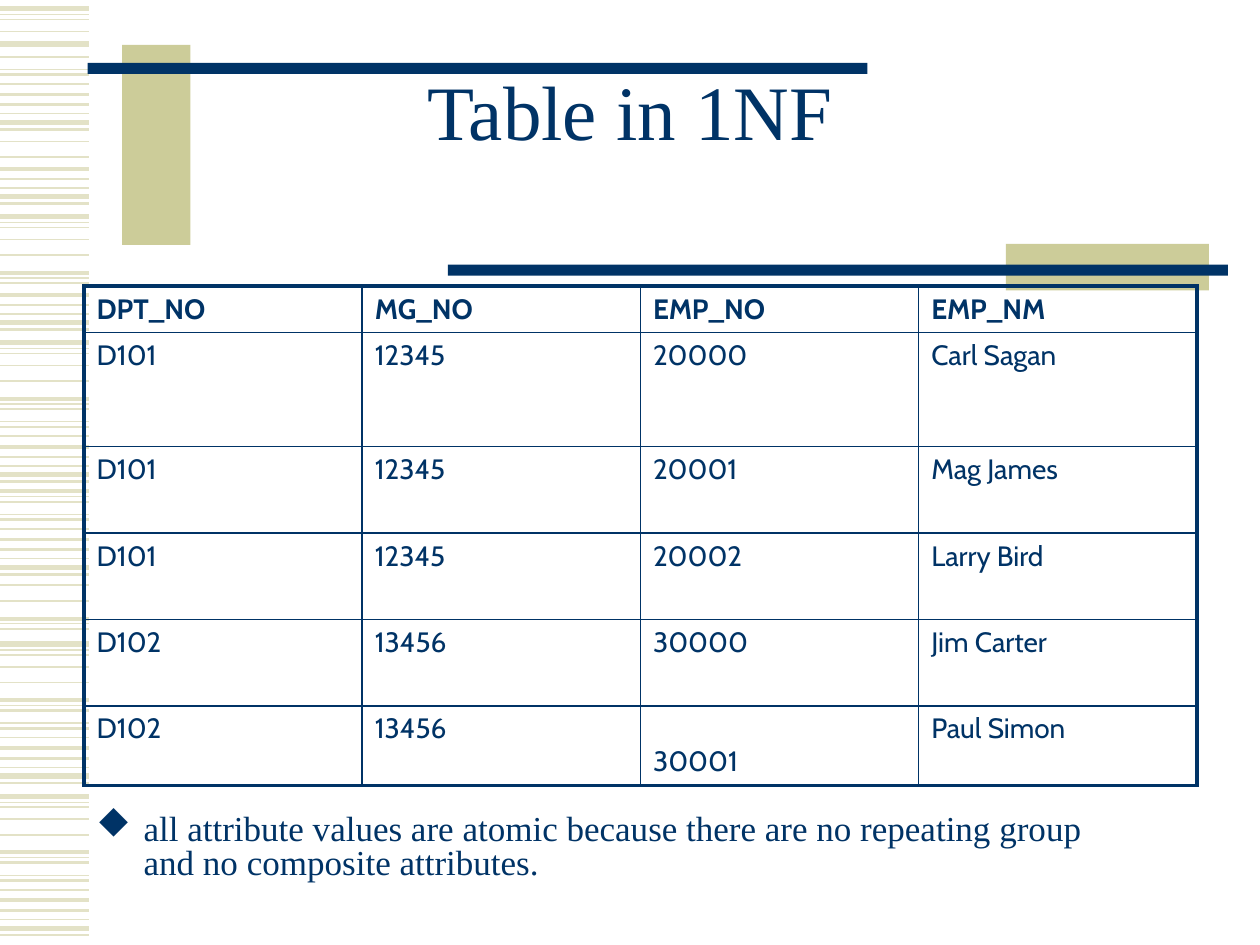
from lxml.etree import SubElement
from pptx import Presentation
from pptx.dml.color import RGBColor
from pptx.enum.shapes import MSO_CONNECTOR as Connector, MSO_SHAPE as Preset
from pptx.enum.text import MSO_ANCHOR as Anchor, MSO_AUTO_SIZE as AutoSize, PP_ALIGN as Align
from pptx.oxml.ns import qn
from pptx.util import Pt

COLORS = {"navy": "003366", "khaki": "CCCC99", "stripe": "E3E2C7"}
SERIF, SANS = "Times New Roman", "Cabin"

# One stripe motif: (offset from its top, line width)
MOTIF = [(0, 3), (3.4, 0.75), (6.2, 1), (13, 1), (22, 1), (32, 2.25), (35, 0.75), (38, 1.5),
         (45.2, 0.75), (48.2, 1.5), (53.5, 1), (59.5, 2.25), (65.3, 1.5), (70.5, 0.75),
         (75.5, 3), (79.4, 1.5)]
# Repeats of the motif: (top, first stripe, end stripe)
REPEATS = [(5, 0, 4), (25.2, 0, 1), (-5.5, 7, 16), (67.8, 3, 5), (37, 11, 16), (123.8, 0, 8),
           (109, 11, 16), (195.8, 0, 16), (248.8, 5, 16), (321.5, 3, 8), (368, 0, 16),
           (455, 0, 16)]

ROWS = [
    ["DPT_NO", "MG_NO", "EMP_NO", "EMP_NM"],
    ["D101", "12345", "20000", "Carl Sagan"],
    ["D101", "12345", "20001", "Mag James"],
    ["D101", "12345", "20002", "Larry Bird"],
    ["D102", "13456", "30000", "Jim Carter"],
    ["D102", "13456", "30001", "Paul Simon"],
]
ROW_HEIGHTS = [26.6, 65.2, 49.4, 49.4, 49.4, 45.4]


def color(name):
    return RGBColor.from_string(COLORS[name])


class SlideBuilder:
    def __init__(self, slide):
        self.slide = slide
        self.shapes = slide.shapes

    def format_text(self, paragraph, font_name, size, bold=False):
        font = paragraph.font
        font.name, font.size, font.bold = font_name, Pt(size), bold
        font.color.rgb = color("navy")

    def stripe(self, y, width):
        line = self.shapes.add_connector(Connector.STRAIGHT, 0, Pt(y), Pt(51), Pt(y))
        line.line.color.rgb = color("stripe")
        line.line.width = Pt(width)
        SubElement(line._element.spPr, qn("a:effectLst"))

    def block(self, left, top, width, height, fill):
        shape = self.shapes.add_shape(Preset.RECTANGLE, Pt(left), Pt(top), Pt(width), Pt(height))
        shape.shadow.inherit = False
        shape.fill.solid()
        shape.fill.fore_color.rgb = color(fill)
        shape.line.fill.background()

    def title(self, text, left, top, width, height):
        title = self.shapes.title
        title.left, title.top, title.width, title.height = Pt(left), Pt(top), Pt(width), Pt(height)
        self.shapes._spTree.append(title._element)  # bring in front of the decoration
        frame = title.text_frame
        frame.text = text
        frame.auto_size = AutoSize.NONE
        frame.vertical_anchor = Anchor.MIDDLE
        paragraph = frame.paragraphs[0]
        paragraph.alignment = Align.CENTER
        paragraph.line_spacing = 0.85
        self.format_text(paragraph, SERIF, 44)

    def bullet(self, text, left, top, width, height):
        frame = self.shapes.add_textbox(Pt(left), Pt(top), Pt(width), Pt(height)).text_frame
        frame.word_wrap = True
        frame.text = text
        paragraph = frame.paragraphs[0]
        paragraph.line_spacing = 0.8
        properties = paragraph._p.get_or_add_pPr()
        properties.set("marL", str(Pt(27)))
        properties.set("indent", str(-Pt(27)))
        bullet_color = SubElement(properties, qn("a:buClr"))
        SubElement(bullet_color, qn("a:srgbClr"), val=COLORS["navy"])
        # The letter u is the solid diamond in this symbol font
        SubElement(properties, qn("a:buFont"), typeface="Wingdings", pitchFamily="2", charset="2")
        SubElement(properties, qn("a:buChar"), char="u")
        self.format_text(paragraph, SERIF, 20)

    def border(self, cell, side, width):
        line = SubElement(cell._tc.get_or_add_tcPr(), qn(f"a:ln{side}"), w=str(Pt(width)))
        fill = SubElement(line, qn("a:solidFill"))
        SubElement(fill, qn("a:srgbClr"), val=COLORS["navy"])

    def table(self, rows, heights, left, top, width):
        last_row, last_column = len(rows) - 1, len(rows[0]) - 1
        frame = self.shapes.add_table(len(rows), len(rows[0]), Pt(left), Pt(top),
                                      Pt(width), Pt(sum(heights)))
        table = frame.table
        table.first_row = table.horz_banding = False
        for column in table.columns:
            column.width = Pt(width / len(rows[0]))
        for r, (values, height) in enumerate(zip(rows, heights)):
            table.rows[r].height = Pt(height)
            for c, value in enumerate(values):
                cell = table.cell(r, c)
                cell.text = value
                self.format_text(cell.text_frame.paragraphs[0], SANS, 16, bold=r == 0)
                # Heavy lines on the outside only
                outer = {"L": c == 0, "R": c == last_column, "T": r == 0, "B": r == last_row}
                for side, is_outer in outer.items():
                    self.border(cell, side, 2.25 if is_outer else 1)
                cell.fill.background()
        return table


def main():
    presentation = Presentation()
    presentation.slide_width, presentation.slide_height = Pt(720), Pt(540)
    builder = SlideBuilder(presentation.slides.add_slide(presentation.slide_layouts[5]))

    # Striped left edge
    for top, first, end in REPEATS:
        for offset, width in MOTIF[first:end]:
            builder.stripe(top + offset, width)

    # Blocks and bars around the title
    builder.block(69.8, 25.7, 39, 114.3, "khaki")
    builder.block(50, 36, 445.7, 6.3, "navy")
    builder.block(574.8, 139.4, 116, 26.6, "khaki")
    builder.block(256, 151.2, 445.7, 6.3, "navy")

    # Title, conclusion and table
    builder.title("Table in 1NF", 36, 21.6, 648, 90)
    builder.bullet("all attribute values are atomic because there are no repeating group "
                   "and no composite attributes.", 48, 462, 588, 48)
    table = builder.table(ROWS, ROW_HEIGHTS, 48, 163.4, 636)
    table.cell(5, 2).vertical_anchor = Anchor.BOTTOM

    presentation.save("out.pptx")


if __name__ == "__main__":
    main()
